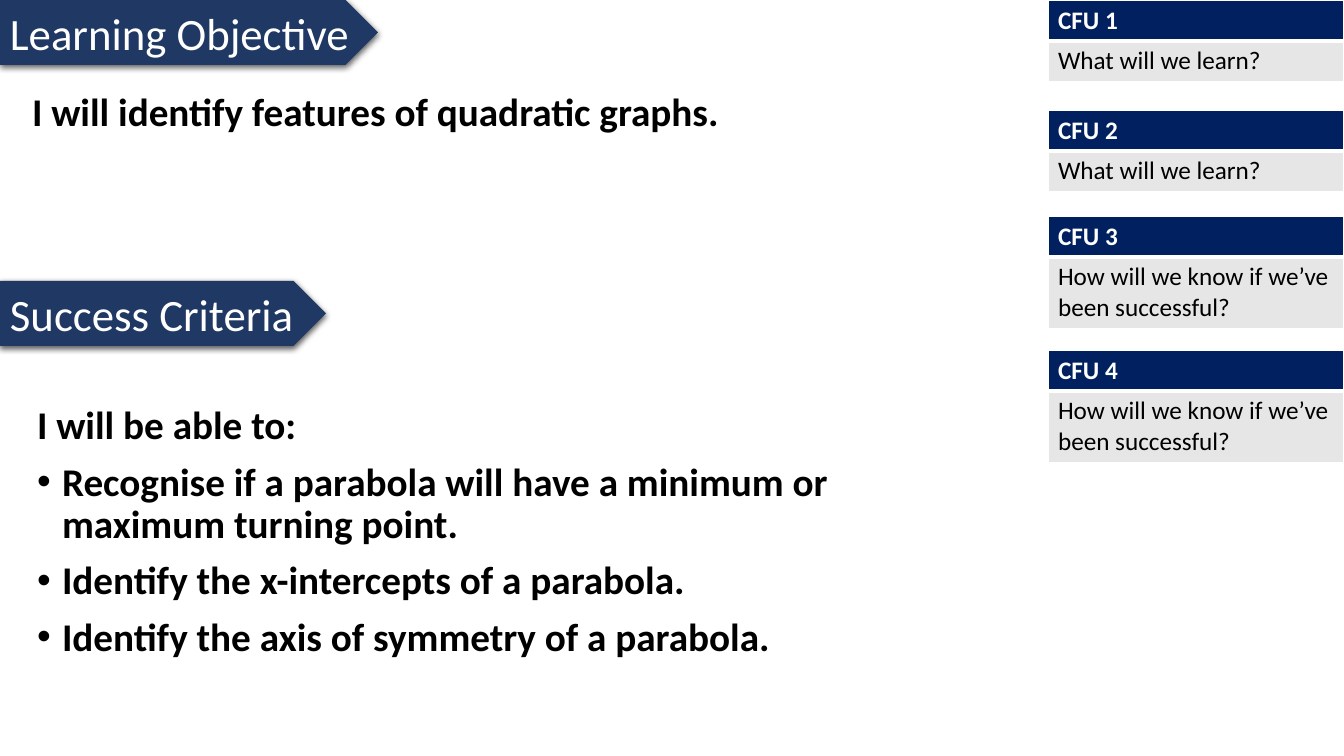
"""Build a lesson slide with objective, success criteria and checks for understanding."""
from lxml import etree
from pptx import Presentation
from pptx.dml.color import RGBColor
from pptx.enum.shapes import MSO_SHAPE
from pptx.enum.text import MSO_ANCHOR, MSO_AUTO_SIZE, PP_ALIGN
from pptx.oxml import parse_xml
from pptx.oxml.ns import qn
from pptx.util import Pt

PENTAGON = MSO_SHAPE.PENTAGON
TOP, MIDDLE = MSO_ANCHOR.TOP, MSO_ANCHOR.MIDDLE
NO_AUTOFIT = MSO_AUTO_SIZE.NONE
LEFT = PP_ALIGN.LEFT

WIDTH, HEIGHT = 1344, 756
EMU_PER_PX = 12192000 / WIDTH
FONT = "Calibri"
TWO_CONTENT = 3

BANNER_BLUE = RGBColor(0x20, 0x38, 0x64)
NAVY = RGBColor(0x00, 0x20, 0x60)
GREY = RGBColor(0xE7, 0xE6, 0xE6)
WHITE = RGBColor(0xFF, 0xFF, 0xFF)
BLACK = RGBColor(0x00, 0x00, 0x00)

A_NS = "http://schemas.openxmlformats.org/drawingml/2006/main"
SHADOW = (
    f'<a:outerShdw xmlns:a="{A_NS}" blurRad="57150" dist="19050" dir="5400000" '
    'algn="ctr" rotWithShape="0">'
    '<a:srgbClr val="000000"><a:alpha val="63000"/></a:srgbClr></a:outerShdw>'
)

BANNERS = [("Learning Objective", 0, 378), ("Success Criteria", 281, 326)]
OBJECTIVE = "I will identify features of quadratic graphs."
CRITERIA_INTRO = "I will be able to:"
CRITERIA = [
    "Recognise if a parabola will have a minimum or maximum turning point.",
    "Identify the x-intercepts of a parabola.",
    "Identify the axis of symmetry of a parabola.",
]
LEARN = "What will we learn?"
SUCCEED = "How will we know if we’ve been successful?"
CHECKS = [(LEARN, 0, 41), (LEARN, 110, 41), (SUCCEED, 216, 71), (SUCCEED, 350, 71)]
CHECK_HEADER_HEIGHT = 39


def px(length):
    """Turn pixels into EMU."""
    return round(length * EMU_PER_PX)


def write(paragraph, words, size, color, bold=False):
    """Add one formatted run to a paragraph."""
    run = paragraph.add_run()
    run.text = words
    run.font.name = FONT
    run.font.size = Pt(size)
    run.font.bold = bold
    run.font.color.rgb = color


def add_banner(slide, words, top, width):
    """Add a shadowed heading arrow at the left edge."""
    banner = slide.shapes.add_shape(PENTAGON, 0, px(top), px(width), px(65))
    banner.fill.solid()
    banner.fill.fore_color.rgb = BANNER_BLUE
    banner.line.fill.background()
    banner.shadow.inherit = False
    banner.element.spPr.find(qn("a:effectLst")).append(parse_xml(SHADOW))
    frame = banner.text_frame
    frame.word_wrap = False
    frame.vertical_anchor = MIDDLE
    frame.paragraphs[0].alignment = LEFT
    write(frame.paragraphs[0], words, 32, WHITE)


def fill_body(body, box, lines):
    """Place a body placeholder and write its (text, bulleted) lines."""
    body.left, body.top, body.width, body.height = map(px, box)
    frame = body.text_frame
    frame.word_wrap = True
    frame.auto_size = NO_AUTOFIT
    frame.vertical_anchor = TOP
    for number, (words, bulleted) in enumerate(lines):
        paragraph = frame.add_paragraph() if number else frame.paragraphs[0]
        paragraph.line_spacing = 0.9
        paragraph.space_before = Pt(10 if number else 0)
        properties = paragraph._p.get_or_add_pPr()
        indent = px(25) if bulleted else 0
        properties.set("marL", str(indent))
        properties.set("indent", str(-indent))
        if bulleted:
            etree.SubElement(properties, qn("a:buFont"), typeface="Arial")
            etree.SubElement(properties, qn("a:buChar"), char="•")
        else:
            etree.SubElement(properties, qn("a:buNone"))
        write(paragraph, words, 28, BLACK, bold=True)


def style_cell(cell, words, fill, color, bold, bottom_width):
    """Fill a cell, write its text and give it white borders."""
    write(cell.text_frame.paragraphs[0], words, 18, color, bold)
    properties = cell._tc.get_or_add_tcPr()
    for side, width in (("L", 1), ("R", 1), ("T", 1), ("B", bottom_width)):
        border = etree.SubElement(properties, qn(f"a:ln{side}"), w=str(Pt(width)))
        paint = etree.SubElement(border, qn("a:solidFill"))
        etree.SubElement(paint, qn("a:srgbClr"), val=str(WHITE))
    cell.fill.solid()
    cell.fill.fore_color.rgb = fill


def add_check(slide, number, question, top, question_height):
    """Add a numbered check-for-understanding table at the right edge."""
    heights = (CHECK_HEADER_HEIGHT, question_height)
    check = slide.shapes.add_table(
        2, 1, px(1048), px(top), px(296), px(sum(heights))
    ).table
    for row, height in zip(check.rows, heights):
        row.height = px(height)
    style_cell(check.cell(0, 0), f"CFU {number}", NAVY, WHITE, True, 3)
    style_cell(check.cell(1, 0), question, GREY, BLACK, False, 1)


def main():
    """Build and save the slide."""
    deck = Presentation()
    deck.slide_width, deck.slide_height = px(WIDTH), px(HEIGHT)
    slide = deck.slides.add_slide(deck.slide_layouts[TWO_CONTENT])
    title = slide.shapes.title.element
    title.getparent().remove(title)

    for words, top, width in BANNERS:
        add_banner(slide, words, top, width)
    for number, check in enumerate(CHECKS, 1):
        add_check(slide, number, *check)
    fill_body(slide.placeholders[1], (22, 88, 978, 190), [(OBJECTIVE, False)])
    criteria_lines = [(CRITERIA_INTRO, False)] + [(line, True) for line in CRITERIA]
    fill_body(slide.placeholders[2], (27, 401, 967, 275), criteria_lines)
    deck.save("out.pptx")


if __name__ == "__main__":
    main()
